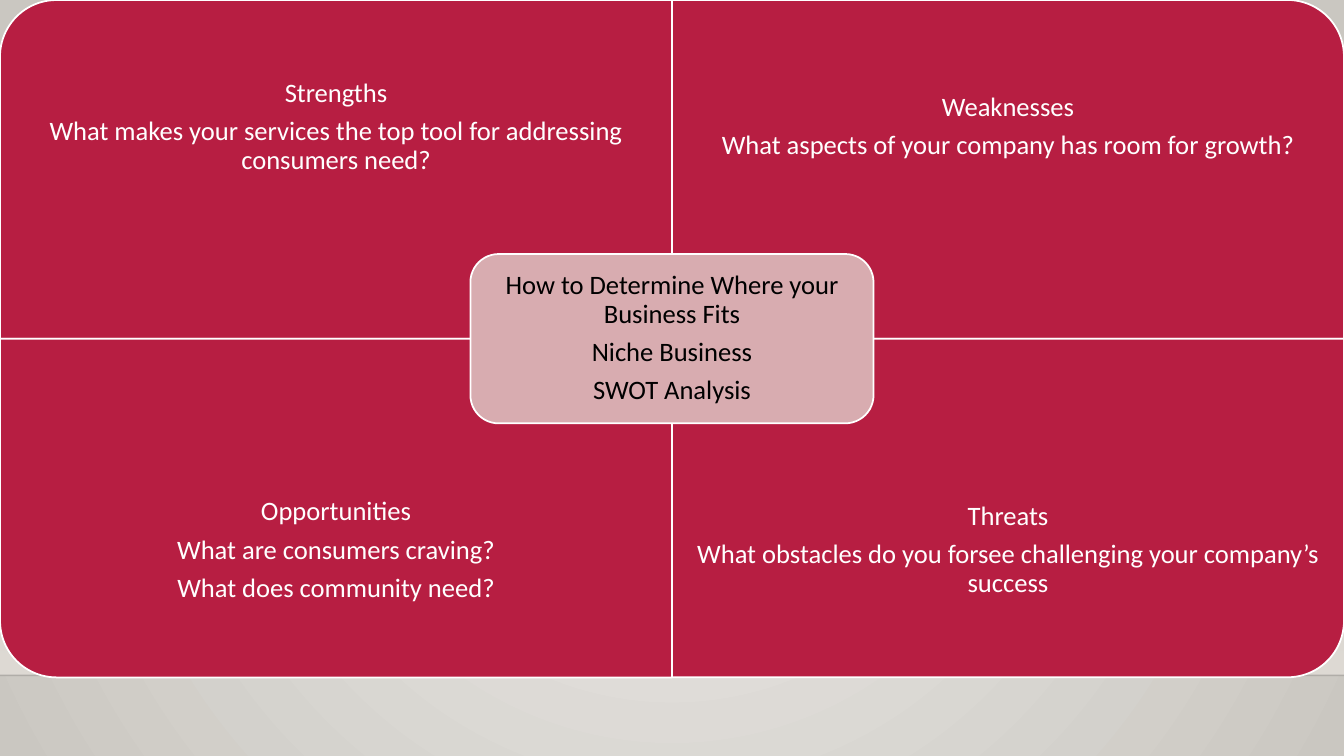
import pptx
import pptx.util
import pptx.dml.color
import pptx.enum.shapes
import pptx.enum.text
import pptx.oxml.ns
import lxml.etree

RGB = pptx.dml.color.RGBColor
KIND = pptx.enum.shapes.MSO_SHAPE
qn = pptx.oxml.ns.qn

# Content: column, row, turn of the rounded corner, lines
PANELS = [
    (0, 0, 270, ["Strengths",
                 "What makes your services the top tool for addressing consumers need?"]),
    (1, 0, 0, ["Weaknesses",
               "What aspects of your company has room for growth?"]),
    (0, 1, 180, ["Opportunities", "What are consumers craving?",
                 "What does community need?"]),
    (1, 1, 90, ["Threats",
                "What obstacles do you forsee challenging your company’s success"]),
]
CORE = ["How to Determine Where your Business Fits", "Niche Business", "SWOT Analysis"]

RED = RGB(0xB7, 0x1E, 0x42)
PINK = RGB(0xD8, 0xAC, 0xB0)
WHITE = RGB(0xFF, 0xFF, 0xFF)
BLACK = RGB(0, 0, 0)
LIGHT = RGB(0xEC, 0xEA, 0xE7)
DARK = RGB(0xCA, 0xC7, 0xC1)
SAND = RGB(0xDF, 0xDB, 0xD5)

# Grid, in inches
WIDE, HIGH = 13.33, 7.5
COL, ROW = WIDE / 2, 3.36
FLOOR = 6.7
TEXT = ROW * 0.75              # text fills the outer three quarters
CORE_W, CORE_H = COL * 0.6, ROW / 2

deck = pptx.Presentation()
deck.slide_width = pptx.util.Inches(WIDE)
deck.slide_height = pptx.util.Inches(HIGH)
slide = deck.slides.add_slide(deck.slide_layouts[6])


def box(*sides):
    return [pptx.util.Inches(side) for side in sides]


def blend(fill, *tones):
    fill.gradient()
    for stop, tone in zip(fill.gradient_stops, tones):
        stop.color.rgb = tone


def fade(root, share):
    """Make the first colour under root partly clear."""
    tone = next(root.iter(qn("a:srgbClr")))
    lxml.etree.SubElement(tone, qn("a:alpha"), val=str(share * 1000))


def shape(kind, x, y, w, h, tone, turn=0):
    # A quarter turn swaps width and height about the same centre
    sw, sh = (h, w) if turn % 180 else (w, h)
    item = slide.shapes.add_shape(
        kind, *box(x + (w - sw) / 2, y + (h - sh) / 2, sw, sh))
    item.rotation = turn
    item.shadow.inherit = False
    item.fill.solid()
    item.fill.fore_color.rgb = tone
    item.line.color.rgb = WHITE
    item.line.width = pptx.util.Pt(1.25)
    return item


def words(x, y, w, h, pad, tone, lines):
    frame = slide.shapes.add_textbox(*box(x, y, w, h)).text_frame
    frame.word_wrap = True
    frame.vertical_anchor = pptx.enum.text.MSO_ANCHOR.MIDDLE
    frame.margin_left = frame.margin_right = pptx.util.Inches(pad)
    frame.margin_top = frame.margin_bottom = pptx.util.Inches(pad)
    for i, line in enumerate(lines):
        para = frame.add_paragraph() if i else frame.paragraphs[0]
        para.alignment = pptx.enum.text.PP_ALIGN.CENTER
        para.line_spacing = 0.9
        para.space_after = pptx.util.Pt(6.65)
        run = para.add_run()
        run.text = line
        run.font.name = "Calibri"
        run.font.size = pptx.util.Pt(19)
        run.font.color.rgb = tone


# Backdrop: round gradient
blend(slide.background.fill, LIGHT, DARK)
grad = next(slide.background.fill._xPr.iter(qn("a:gradFill")))
grad.remove(grad.find(qn("a:lin")))
ring = lxml.etree.SubElement(grad, qn("a:path"), path="circle")
lxml.etree.SubElement(ring, qn("a:fillToRect"),
                      l="50000", t="50000", r="50000", b="50000")

# Wall that fades upward, and the floor line
wall = shape(KIND.RECTANGLE, 0, 2.21, WIDE, FLOOR - 2.21, SAND)
wall.line.fill.background()
blend(wall.fill, SAND, SAND)
wall.fill.gradient_angle = 270
fade(wall._element.spPr, 0)

edge = slide.shapes.add_connector(
    pptx.enum.shapes.MSO_CONNECTOR.STRAIGHT, *box(0, FLOOR, WIDE, FLOOR))
edge.line.color.rgb = BLACK
edge.line.width = pptx.util.Pt(1)
fade(edge._element.spPr, 20)
lxml.etree.SubElement(edge._element.spPr, qn("a:effectLst"))

# Four panels
for col, row, turn, lines in PANELS:
    x, y = col * COL, row * ROW
    shape(KIND.ROUND_1_RECTANGLE, x, y, COL, ROW, RED, turn)
    words(x, y + row * (ROW - TEXT), COL, TEXT, 0.15, WHITE, lines)

# Centre card
x, y = COL - CORE_W / 2, ROW - CORE_H / 2
shape(KIND.ROUNDED_RECTANGLE, x, y, CORE_W, CORE_H, PINK)
words(x + 0.08, y + 0.08, CORE_W - 0.16, CORE_H - 0.16, 0.08, BLACK, CORE)

deck.save("out.pptx")
